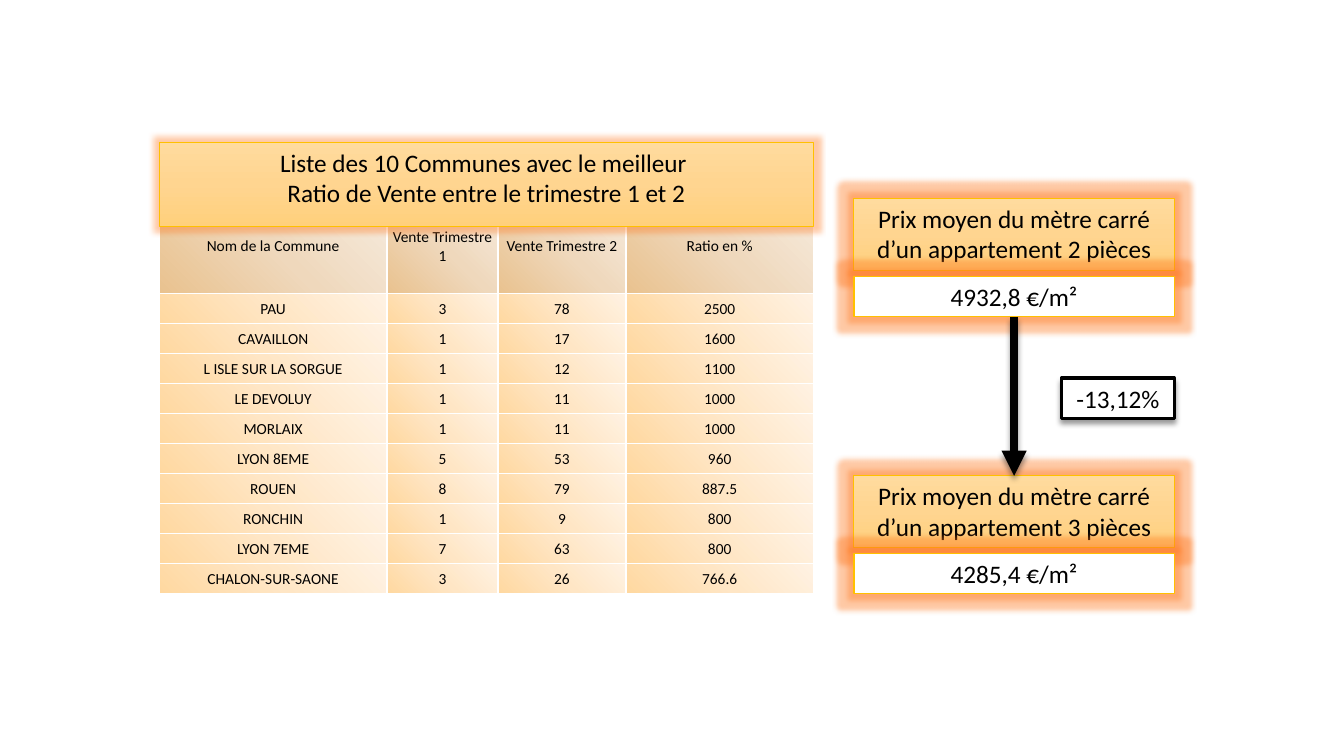
from copy import deepcopy
from dataclasses import dataclass

from lxml.etree import SubElement
from pptx import Presentation
from pptx.dml.color import RGBColor
from pptx.enum.shapes import MSO_CONNECTOR, MSO_SHAPE
from pptx.enum.text import MSO_ANCHOR, MSO_AUTO_SIZE, PP_ALIGN
from pptx.oxml.ns import qn
from pptx.util import Inches, Pt

BLACK = RGBColor(0x00, 0x00, 0x00)
WHITE = RGBColor(0xFF, 0xFF, 0xFF)
GOLD = RGBColor(0xFF, 0xC0, 0x00)
GLOW = RGBColor(0xFF, 0x78, 0x1E)
BANNER_FILL = [RGBColor.from_string(code) for code in ("FFDB9E", "FFD590", "FFD07C")]
HEADER_FILL = [RGBColor.from_string(code) for code in ("E9C28F", "EFD8BC", "F6EBDE")]
BODY_FILL = [RGBColor.from_string(code) for code in ("FFD8A0", "FFE6C5", "FFF2E3")]

WIDTH, HEIGHT = Inches(13.33), Inches(7.5)
COLUMN, ROW = WIDTH / 100, HEIGHT / 100  # grid of 100 by 100

TITLE = ["Liste des 10 Communes avec le meilleur ",
         "Ratio de Vente entre le trimestre 1 et 2"]
COMMUNES = [
    ("Nom de la Commune", "Vente Trimestre 1", "Vente Trimestre 2", "Ratio en %"),
    ("PAU", "3", "78", "2500"),
    ("CAVAILLON", "1", "17", "1600"),
    ("L ISLE SUR LA SORGUE", "1", "12", "1100"),
    ("LE DEVOLUY", "1", "11", "1000"),
    ("MORLAIX", "1", "11", "1000"),
    ("LYON 8EME", "5", "53", "960"),
    ("ROUEN", "8", "79", "887.5"),
    ("RONCHIN", "1", "9", "800"),
    ("LYON 7EME", "7", "63", "800"),
    ("CHALON-SUR-SAONE", "3", "26", "766.6"),
]
TABLE_SHARES = (2.26, 1.1, 1.27, 1.86)
PRICES = [("Prix moyen du mètre carré d’un appartement 2 pièces", "4932,8 €/m²"),
          ("Prix moyen du mètre carré d’un appartement 3 pièces", "4285,4 €/m²")]
CHANGE = "-13,12%"

LABEL_ROWS, VALUE_ROWS, CARD_ROWS = 9.47, 5.33, 15.6


@dataclass
class Box:
    """Area measured in grid columns and rows."""
    left: float
    top: float
    width: float
    height: float

    def inner(self, left, top, width, height):
        return Box(self.left + left, self.top + top, width, height)

    def emu(self):
        return [int(self.left * COLUMN), int(self.top * ROW),
                int(self.width * COLUMN), int(self.height * ROW)]


def apply(target, values):
    for name, value in values.items():
        setattr(target, name, value)


def write(frame, lines, size):
    for index, line in enumerate(lines):
        para = frame.add_paragraph() if index else frame.paragraphs[0]
        para.alignment = PP_ALIGN.CENTER
        span = para.add_run()
        span.text = line
        apply(span.font, {"name": "Calibri", "size": Pt(size), "bold": False})
        span.font.color.rgb = BLACK


def paint(fill, element, colors, angle):
    """Plain fill for one colour, evenly spaced gradient for three."""
    if len(colors) == 1:
        fill.solid()
        fill.fore_color.rgb = colors[0]
        return
    fill.gradient()
    fill.gradient_angle = angle
    stops = element.find(".//" + qn("a:gsLst"))
    stops.insert(1, deepcopy(stops[0]))
    for index, (stop, color) in enumerate(zip(fill.gradient_stops, colors)):
        stop.position = index / 2
        stop.color.rgb = color


def add_effect(properties, tag, color, opacity, **values):
    effects = properties.find(qn("a:effectLst"))
    if effects is None:
        effects = SubElement(properties, qn("a:effectLst"))
    effect = SubElement(effects, qn(tag), {key: str(value) for key, value in values.items()})
    tint = SubElement(effect, qn("a:srgbClr"), val=str(color))
    SubElement(tint, qn("a:alpha"), val=str(opacity * 1000))


def add_glow(properties):
    add_effect(properties, "a:glow", GLOW, 40, rad=Pt(8))


def add_shadow(properties):
    add_effect(properties, "a:outerShdw", BLACK, 40, blurRad=Pt(4), dist=Pt(3),
               dir=90 * 60000, algn="t", rotWithShape=0)


def format_panel(shape, lines, colors, line, weight, effect, anchor=MSO_ANCHOR.TOP):
    paint(shape.fill, shape.element.spPr, colors, 270)
    shape.line.color.rgb = line
    shape.line.width = Pt(weight)
    shape.shadow.inherit = False
    effect(shape.element.spPr)
    apply(shape.text_frame, {
        "word_wrap": True, "auto_size": MSO_AUTO_SIZE.SHAPE_TO_FIT_TEXT,
        "vertical_anchor": anchor,
        "margin_left": Inches(0.1), "margin_right": Inches(0.1),
        "margin_top": Inches(0.05), "margin_bottom": Inches(0.05)})
    write(shape.text_frame, lines, 18)


def add_panel(page, box, *style, **options):
    shape = page.shapes.add_shape(MSO_SHAPE.RECTANGLE, *box.emu())
    format_panel(shape, *style, **options)


def format_cell(cell, text, colors):
    apply(cell, {"vertical_anchor": MSO_ANCHOR.MIDDLE, "margin_left": Inches(0.01),
                 "margin_right": Inches(0.01), "margin_top": Inches(0.01),
                 "margin_bottom": 0})
    write(cell.text_frame, [text], 11)
    properties = cell._tc.get_or_add_tcPr()
    for side in ("a:lnL", "a:lnR", "a:lnT", "a:lnB"):
        border = SubElement(properties, qn(side), w=str(Pt(1)))
        solid = SubElement(border, qn("a:solidFill"))
        SubElement(solid, qn("a:srgbClr"), val=str(WHITE))
    paint(cell.fill, properties, colors, 45)


def add_ranking(page, box):
    # Table of communes
    area = box.inner(0, 7.47, box.width, box.height - 7.47)
    table = page.shapes.add_table(len(COMMUNES), len(TABLE_SHARES), *area.emu()).table
    apply(table, {"first_row": False, "horz_banding": False})
    for column, share in zip(table.columns, TABLE_SHARES):
        column.width = int(area.width * COLUMN * share / sum(TABLE_SHARES))
    header_rows = 12.53
    body_rows = (area.height - header_rows) / (len(COMMUNES) - 1)
    for index, (row, texts) in enumerate(zip(table.rows, COMMUNES)):
        row.height = int((body_rows if index else header_rows) * ROW)
        for cell, text in zip(row.cells, texts):
            format_cell(cell, text, BODY_FILL if index else HEADER_FILL)

    # Title banner, in front of the table's upper edge
    title = page.shapes.title
    banner = box.inner(0, 0, box.width, LABEL_ROWS)
    apply(title, dict(zip(("left", "top", "width", "height"), banner.emu())))
    format_panel(title, TITLE, BANNER_FILL, GOLD, 0.5, add_glow)
    title.element.getparent().append(title.element)


def add_price_card(page, box, label, value):
    add_panel(page, box.inner(0, 0, box.width, LABEL_ROWS),
              [label], BANNER_FILL, GOLD, 0.5, add_glow)
    add_panel(page, box.inner(0, box.height - VALUE_ROWS, box.width, VALUE_ROWS),
              [value], [WHITE], GOLD, 1, add_glow)


def add_price_change(page, box):
    # Price cards at the top and bottom of the region
    lower = box.height - CARD_ROWS
    for top, (label, value) in zip((0, lower), PRICES):
        add_price_card(page, box.inner(0, top, box.width, CARD_ROWS), label, value)

    # Arrow between the cards
    left, top, width, height = box.inner(0, CARD_ROWS, box.width, lower - CARD_ROWS).emu()
    center = left + width // 2
    arrow = page.shapes.add_connector(MSO_CONNECTOR.STRAIGHT, center, top, center, top + height)
    arrow.line.color.rgb = BLACK
    arrow.line.width = Pt(6)
    properties = arrow.element.spPr
    SubElement(properties.find(qn("a:ln")), qn("a:tailEnd"), type="triangle")
    add_shadow(properties)

    # Change badge, flush right
    add_panel(page, box.inner(box.width - 8.4, 23.73, 8.4, VALUE_ROWS),
              [CHANGE], [WHITE], BLACK, 2.25, add_shadow, anchor=MSO_ANCHOR.MIDDLE)


deck = Presentation()
apply(deck, {"slide_width": WIDTH, "slide_height": HEIGHT})
page = deck.slides.add_slide(deck.slide_layouts.get_by_name("Title Only"))
add_ranking(page, Box(11.85, 18.8, 48.68, 59.73))
add_price_change(page, Box(63.53, 26.27, 23.85, 52.27))
deck.save("out.pptx")
